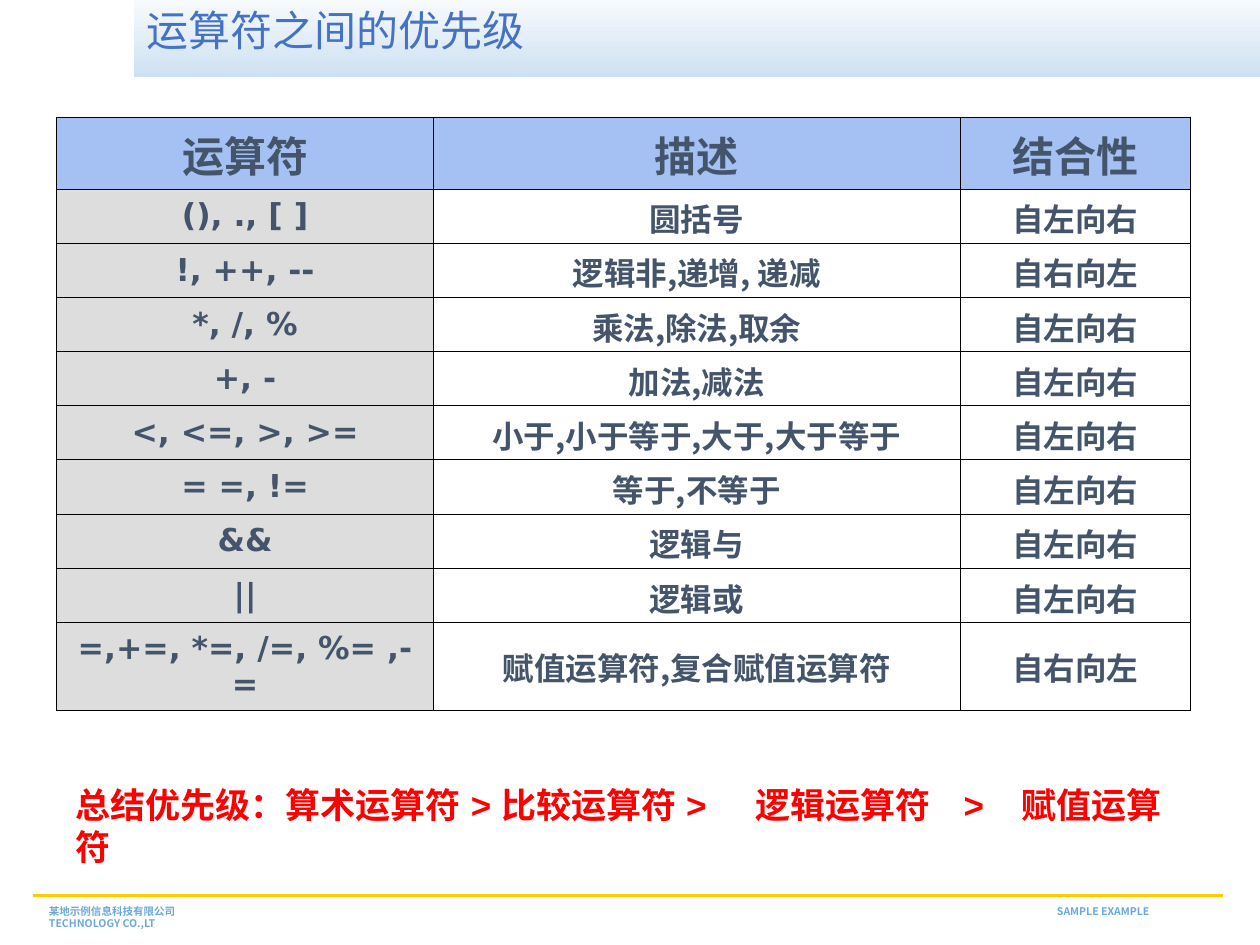
from lxml import etree
from pptx import Presentation
from pptx.dml.color import RGBColor
from pptx.enum.shapes import MSO_CONNECTOR
from pptx.enum.text import MSO_ANCHOR, PP_ALIGN
from pptx.oxml.ns import qn
from pptx.util import Inches, Pt

STRAIGHT = MSO_CONNECTOR.STRAIGHT
TOP, MIDDLE = MSO_ANCHOR.TOP, MSO_ANCHOR.MIDDLE
LEFT, CENTER = PP_ALIGN.LEFT, PP_ALIGN.CENTER

BLUE = RGBColor(0x44, 0x72, 0xC4)
PALE_TOP = RGBColor(0xF7, 0xFA, 0xFD)
PALE_BOTTOM = RGBColor(0xCE, 0xE1, 0xF2)
SLATE = RGBColor(0x44, 0x54, 0x6A)
HEADER_BLUE = RGBColor(0xA5, 0xC1, 0xF3)
GREY = RGBColor(0xDD, 0xDD, 0xDD)
WHITE = RGBColor(0xFF, 0xFF, 0xFF)
RED = RGBColor(0xFF, 0x00, 0x00)
YELLOW = RGBColor(0xFF, 0xCC, 0x00)
FOOTER_BLUE = RGBColor(0x6B, 0xA9, 0xDB)

CJK_FONT = "Noto Sans CJK SC"
TABLE_FONT = "DejaVu Sans"
SUMMARY_FONT = "Arial"

RIGHTWARD, LEFTWARD = "自左向右", "自右向左"
HEADINGS = ("运算符", "描述", "结合性")
OPERATORS = (
    ("(), ., [ ]", "圆括号", RIGHTWARD),
    ("!, ++, --", "逻辑非,递增, 递减", LEFTWARD),
    ("*, /, %", "乘法,除法,取余", RIGHTWARD),
    ("+, -", "加法,减法", RIGHTWARD),
    ("<, <=, >, >=", "小于,小于等于,大于,大于等于", RIGHTWARD),
    ("= =, !=", "等于,不等于", RIGHTWARD),
    ("&&", "逻辑与", RIGHTWARD),
    ("||", "逻辑或", RIGHTWARD),
    ("=,+=, *=, /=, %= ,-=", "赋值运算符,复合赋值运算符", LEFTWARD),
)
COLUMN_WIDTHS = (2.99, 4.18, 1.83)
ROW_HEIGHTS = (0.57,) + (0.43,) * 8 + (0.7,)


def add_run(paragraph, text, size, font_name, color, bold=False, east_asian=CJK_FONT):
    """Add one formatted run to a paragraph."""
    run = paragraph.add_run()
    run.text = text
    run.font.size = Pt(size)
    run.font.bold = bold
    run.font.color.rgb = color
    run.font.name = font_name
    properties = run.font._element
    etree.SubElement(properties, qn("a:ea")).set("typeface", east_asian)


def add_tab_stops(paragraph, positions):
    """Give a paragraph left tab stops at positions in inches."""
    properties = paragraph._p.get_or_add_pPr()
    tab_list = etree.SubElement(properties, qn("a:tabLst"))
    for position in positions:
        tab = etree.SubElement(tab_list, qn("a:tab"))
        tab.set("pos", str(Inches(position)))
        tab.set("algn", "l")


def format_title(slide):
    """Place the title placeholder as a gradient band."""
    title = slide.shapes.title
    title.left, title.top = Inches(1.06), Inches(0)
    title.width, title.height = Inches(8.94), Inches(0.61)
    title.fill.gradient()
    title.fill.gradient_angle = 270
    stops = title.fill.gradient_stops
    for stop, position, color in zip(stops, (0, 1), (PALE_TOP, PALE_BOTTOM)):
        stop.position = position
        stop.color.rgb = color
    title.text_frame.vertical_anchor = TOP
    paragraph = title.text_frame.paragraphs[0]
    paragraph.alignment = LEFT
    paragraph.line_spacing = Pt(28)
    add_run(paragraph, "运算符之间的优先级", 24, CJK_FONT, BLUE)


def add_text(slide, left, top, width, height, tab_stops, line_spacing, text, **style):
    """Add a wrapped text box holding one tabbed paragraph."""
    box = slide.shapes.add_textbox(
        Inches(left), Inches(top), Inches(width), Inches(height))
    box.text_frame.word_wrap = True
    paragraph = box.text_frame.paragraphs[0]
    add_tab_stops(paragraph, tab_stops)
    paragraph.line_spacing = Pt(line_spacing)
    add_run(paragraph, text, bold=True, **style)


def set_borders(cell):
    """Draw thin black lines on all sides of a cell."""
    properties = cell._tc.get_or_add_tcPr()
    for index, side in enumerate(("lnL", "lnR", "lnT", "lnB")):
        line = etree.Element(qn(f"a:{side}"), w=str(Pt(0.45)))
        fill = etree.SubElement(line, qn("a:solidFill"))
        etree.SubElement(fill, qn("a:srgbClr")).set("val", "000000")
        properties.insert(index, line)


def fill_cell(cell, text, size, font_name, background):
    """Write centred bold text into a filled and bordered cell."""
    cell.fill.solid()
    cell.fill.fore_color.rgb = background
    cell.vertical_anchor = MIDDLE
    set_borders(cell)
    paragraph = cell.text_frame.paragraphs[0]
    paragraph.alignment = CENTER
    add_run(paragraph, text, size, font_name, SLATE, bold=True)


def add_operator_table(slide):
    """Add the table of operators, descriptions and associativity."""
    table = slide.shapes.add_table(
        len(ROW_HEIGHTS), len(COLUMN_WIDTHS), Inches(0.45), Inches(0.93),
        Inches(sum(COLUMN_WIDTHS)), Inches(sum(ROW_HEIGHTS))).table
    for column, width in zip(table.columns, COLUMN_WIDTHS):
        column.width = Inches(width)
    for row, height in zip(table.rows, ROW_HEIGHTS):
        row.height = Inches(height)
    for index, heading in enumerate(HEADINGS):
        fill_cell(table.cell(0, index), heading, 24, TABLE_FONT, HEADER_BLUE)
    fonts = (TABLE_FONT, CJK_FONT, TABLE_FONT)
    backgrounds = (GREY, WHITE, WHITE)
    for row_index, values in enumerate(OPERATORS, start=1):
        for index, text in enumerate(values):
            fill_cell(table.cell(row_index, index), text, 18, fonts[index],
                      backgrounds[index])


def add_rule(slide):
    """Add the yellow line above the footer."""
    rule = slide.shapes.add_connector(
        STRAIGHT, Inches(0.26), Inches(7.11), Inches(9.71), Inches(7.11))
    rule.line.color.rgb = YELLOW
    rule.line.width = Pt(1.75)
    etree.SubElement(rule._element.spPr, qn("a:effectLst"))


def main():
    """Build and save the operator precedence slide."""
    presentation = Presentation()
    presentation.slide_width = Inches(10)
    presentation.slide_height = Inches(7.5)
    slide = presentation.slides.add_slide(presentation.slide_layouts[5])
    add_rule(slide)
    add_text(slide, 0.29, 7.14, 9.41, 0.3, (8,), 6.9,
             "某地示例信息科技有限公司\tSAMPLE EXAMPLE TECHNOLOGY CO.,LT",
             size=6, font_name=CJK_FONT, color=FOOTER_BLUE)
    format_title(slide)
    add_operator_table(slide)
    add_text(slide, 0.5, 6.17, 9, 0.77, (5.4, 7.05, 7.51), 24,
             "总结优先级：算术运算符 > 比较运算符 >\t逻辑运算符\t>\t赋值运算符",
             size=20, font_name=SUMMARY_FONT, color=RED, east_asian=SUMMARY_FONT)
    presentation.save("out.pptx")


if __name__ == "__main__":
    main()
